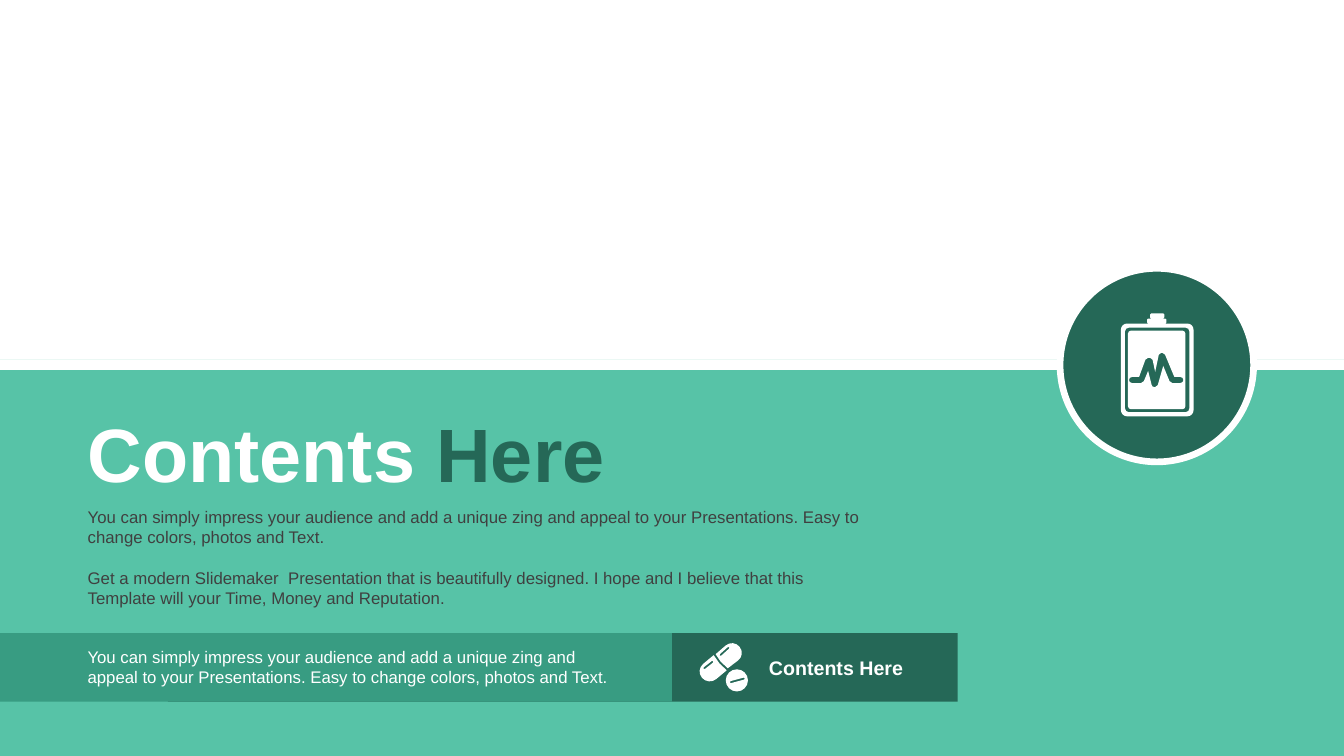
from dataclasses import dataclass
from math import dist

from pptx import Presentation
from pptx.dml.color import RGBColor
from pptx.enum.shapes import MSO_SHAPE
from pptx.enum.text import MSO_ANCHOR, MSO_AUTO_SIZE, PP_ALIGN
from pptx.oxml.ns import qn
from pptx.util import Inches, Pt

COLUMNS, ROWS = 80, 45
SLIDE_WIDTH, SLIDE_HEIGHT = Inches(13.33), Inches(7.5)
ICON_UNIT = Inches(0.01)
ARC_HANDLE = 0.55
BAR_TOP, BAR_HEIGHT = 37.68, 4.08
TEXT_LEFT = 4.62


@dataclass(frozen=True)
class Theme:
    font: str = "Arial"
    white: RGBColor = RGBColor(0xFF, 0xFF, 0xFF)
    mint: RGBColor = RGBColor(0x57, 0xC3, 0xA7)
    green: RGBColor = RGBColor(0x38, 0x9C, 0x82)
    dark_green: RGBColor = RGBColor(0x25, 0x68, 0x57)
    gray: RGBColor = RGBColor(0x40, 0x40, 0x40)
    title_size: Pt = Pt(54)
    label_size: Pt = Pt(14)
    body_size: Pt = Pt(12)
    paragraph_gap: Pt = Pt(14.4)
    ring_width: Pt = Pt(4.75)
    line_spacing: float = 1.0


THEME = Theme()


def grid_box(column, row, columns, rows):
    return (
        round(SLIDE_WIDTH * column / COLUMNS),
        round(SLIDE_HEIGHT * row / ROWS),
        round(SLIDE_WIDTH * columns / COLUMNS),
        round(SLIDE_HEIGHT * rows / ROWS),
    )


def paint(shape, color):
    shape.shadow.inherit = False
    shape.fill.solid()
    shape.fill.fore_color.rgb = color
    shape.line.fill.background()


def add_block(slide, box, color, kind=MSO_SHAPE.RECTANGLE):
    shape = slide.shapes.add_shape(kind, *grid_box(*box))
    paint(shape, color)
    return shape


def write_text(shape, paragraphs, size, color, bold=False):
    frame = shape.text_frame
    frame.word_wrap = True
    frame.auto_size = MSO_AUTO_SIZE.NONE
    frame.vertical_anchor = MSO_ANCHOR.TOP
    for index, runs in enumerate(paragraphs):
        paragraph = frame.add_paragraph() if index else frame.paragraphs[0]
        properties = paragraph._p.get_or_add_pPr()
        properties.set("marL", "0")
        properties.set("indent", "0")
        properties.append(properties.makeelement(qn("a:buNone"), {}))
        paragraph.alignment = PP_ALIGN.LEFT
        paragraph.line_spacing = THEME.line_spacing
        paragraph.space_before = THEME.paragraph_gap if index else Pt(0)
        paragraph.space_after = Pt(0)
        paragraph.font.name = THEME.font
        paragraph.font.size = size
        paragraph.font.bold = bold
        paragraph.font.color.rgb = color
        for text, run_color in runs:
            run = paragraph.add_run()
            run.text = text
            if run_color != color:
                run.font.color.rgb = run_color


def fill_placeholder(slide, placeholder, box, paragraphs, size, color, bold=False):
    placeholder.left, placeholder.top, placeholder.width, placeholder.height = grid_box(*box)
    slide.shapes._spTree.append(placeholder._element)
    write_text(placeholder, paragraphs, size, color, bold)


def add_text(slide, box, text, size, color, bold=False):
    shape = slide.shapes.add_textbox(*grid_box(*box))
    write_text(shape, [[(text, color)]], size, color, bold)


def step_toward(start, end, length):
    share = length / dist(start, end)
    return tuple(a + (b - a) * share for a, b in zip(start, end))


def rounded_polygon(corners):
    outline = []
    for index, (x, y, radius) in enumerate(corners):
        corner = (x, y)
        if not radius:
            outline.append([corner])
            continue
        before = corners[index - 1][:2]
        after = corners[(index + 1) % len(corners)][:2]
        handle = radius * (1 - ARC_HANDLE)
        outline.append([
            step_toward(corner, before, radius),
            step_toward(corner, before, handle),
            step_toward(corner, after, handle),
            step_toward(corner, after, radius),
        ])
    return outline


def rounded_rectangle(left, top, width, height, radius):
    right, bottom = left + width, top + height
    return rounded_polygon([
        (left, top, radius), (right, top, radius),
        (right, bottom, radius), (left, bottom, radius),
    ])


def groove(start, end, radius=1):
    length = dist(start, end)
    across_x = -(end[1] - start[1]) / length * radius
    across_y = (end[0] - start[0]) / length * radius
    return rounded_polygon([
        (x + side * across_x, y + side * across_y, radius)
        for (x, y), side in ((start, 1), (start, -1), (end, -1), (end, 1))
    ])


def curve_corners(shape, corners):
    steps = iter(list(shape._element.iter(qn("a:moveTo"), qn("a:lnTo"))))
    for corner in corners:
        first, *controls = [next(steps) for _ in corner]
        if controls:
            curve = first.makeelement(qn("a:cubicBezTo"), {})
            first.addnext(curve)
            for control in controls:
                curve.append(control[0])
                control.getparent().remove(control)


def add_icon(slide, column, row, outlines):
    left, top = grid_box(column, row, 0, 0)[:2]
    builder = None
    for outline in outlines:
        start, *rest = [(x * ICON_UNIT, y * ICON_UNIT) for corner in outline for x, y in corner]
        if builder is None:
            builder = slide.shapes.build_freeform(*start)
        else:
            builder.move_to(*start)
        builder.add_line_segments(rest, close=True)
    shape = builder.convert_to_shape(left, top)
    curve_corners(shape, [corner for outline in outlines for corner in outline])
    paint(shape, THEME.white)


def add_clipboard_icon(slide):
    pulse = [
        (8, 63, 3), (18, 63, 0), (25, 44, 2), (31, 44, 2), (34, 58, 0), (38, 39, 2),
        (43, 39, 2), (53, 63, 0), (62, 63, 3), (62, 69, 3), (49, 69, 2), (42, 52, 0),
        (36, 73, 2), (31, 73, 2), (27, 57, 0), (22, 69, 2), (8, 69, 3),
    ]
    add_icon(slide, 66.72, 18.66, [
        rounded_rectangle(0, 10, 72, 92, 6),
        rounded_rectangle(4, 14, 64, 84, 4),
        rounded_rectangle(7, 17, 57, 78, 3),
        rounded_rectangle(26, 5, 19, 5, 1),
        rounded_rectangle(29, 0, 14, 5, 1),
        rounded_polygon(pulse),
    ])


def add_pills_icon(slide):
    lower_half = [(14, 12, 0), (20, 20.5, 0), (27, 27, 0), (9, 42, 9.8), (-4, 27, 9.8)]
    upper_half = [(28, 25, 0), (21, 18.5, 0), (16, 11, 0), (33.4, -4, 9.8), (46, 11.4, 9.8)]
    add_icon(slide, 41.64, 38.28, [
        rounded_polygon(lower_half),
        groove((4, 25.5), (13.5, 18)),
        rounded_polygon(upper_half),
        groove((20, 12.5), (29.5, 4)),
        rounded_rectangle(26, 26, 22, 22, 11),
        groove((30, 39), (45, 35)),
    ])


def main():
    presentation = Presentation()
    presentation.slide_width, presentation.slide_height = SLIDE_WIDTH, SLIDE_HEIGHT
    slide = presentation.slides.add_slide(presentation.slide_layouts[1])
    pitch = ("You can simply impress your audience and add a unique zing and appeal "
             "to your Presentations. Easy to change colors, photos and Text.")
    promise = ("Get a modern Slidemaker  Presentation that is beautifully designed. I hope and "
               "I believe that this Template will your Time, Money and Reputation.")
    add_block(slide, (0, 21.42, COLUMNS, ROWS - 21.42), THEME.mint)
    add_block(slide, (0, 21.42, COLUMNS, 0.6), THEME.white)
    badge = add_block(slide, (63.1, 15.97, 11.52, 11.52), THEME.dark_green, MSO_SHAPE.OVAL)
    badge.line.color.rgb = THEME.white
    badge.line.width = THEME.ring_width
    fill_placeholder(slide, slide.placeholders[1], (TEXT_LEFT, 29.88, 47.9, 6.66),
                     [[(pitch, THEME.gray)], [(promise, THEME.gray)]],
                     THEME.body_size, THEME.gray)
    fill_placeholder(slide, slide.shapes.title, (TEXT_LEFT, 23.94, 39, 6.06),
                     [[("Contents ", THEME.white), ("Here", THEME.dark_green)]],
                     THEME.title_size, THEME.white, True)
    add_block(slide, (10, BAR_TOP, 47, BAR_HEIGHT), THEME.dark_green)
    add_block(slide, (0, BAR_TOP, 40, BAR_HEIGHT), THEME.green)
    add_text(slide, (TEXT_LEFT, 38.22, 33.54, 3), pitch, THEME.body_size, THEME.white)
    add_text(slide, (45.18, 38.76, 11.82, 2.04), "Contents Here",
             THEME.label_size, THEME.white, True)
    add_pills_icon(slide)
    add_clipboard_icon(slide)
    presentation.save("out.pptx")


if __name__ == "__main__":
    main()
